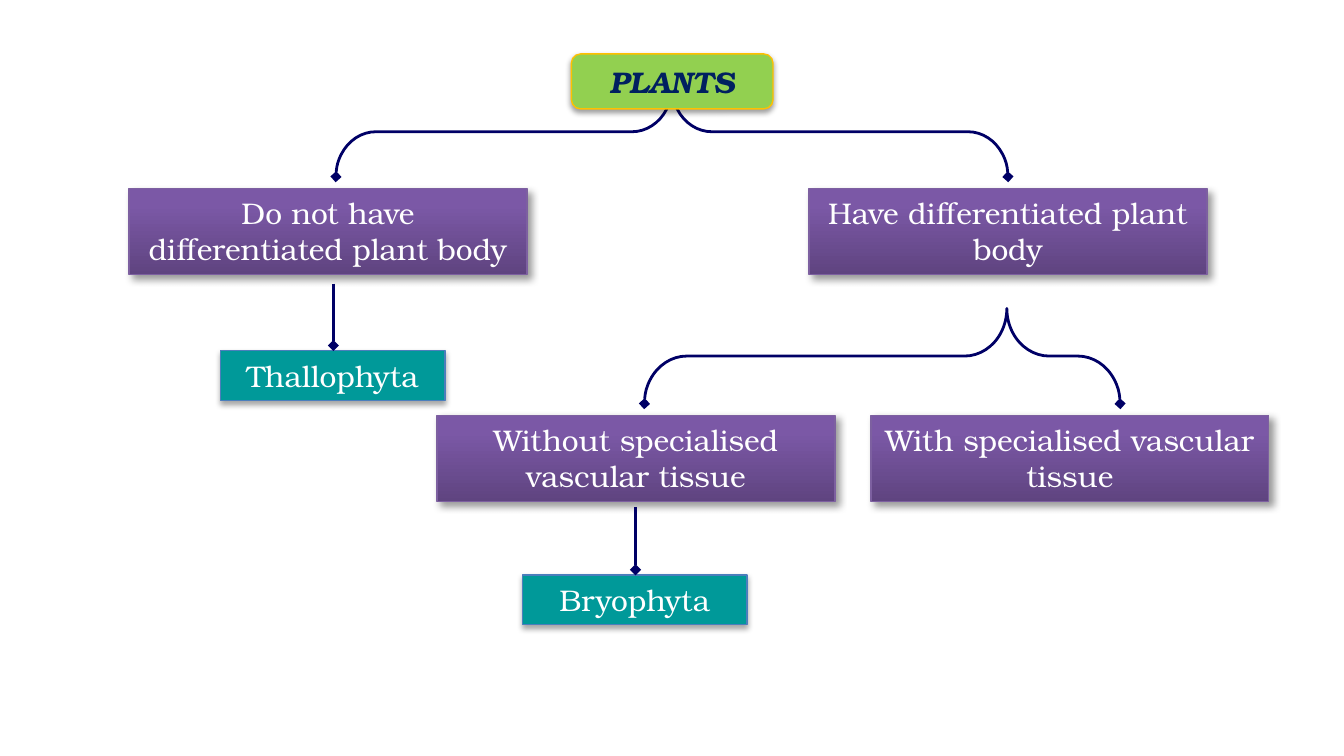
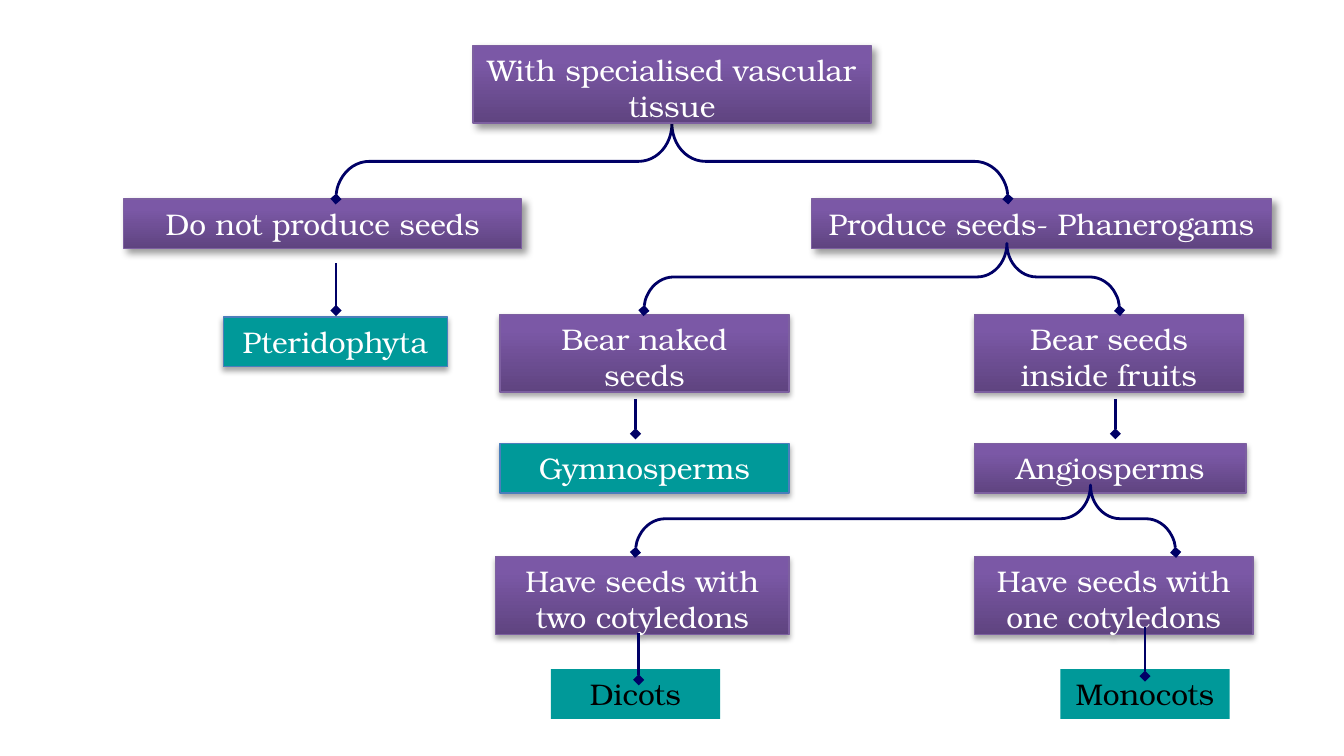
from copy import deepcopy

from lxml.etree import SubElement
from pptx import Presentation
from pptx.dml.color import RGBColor
from pptx.enum.shapes import MSO_CONNECTOR as Link, MSO_SHAPE as Form
from pptx.enum.text import MSO_ANCHOR as Anchor, MSO_AUTO_SIZE as Fit, PP_ALIGN as Align
from pptx.oxml.ns import qn
from pptx.util import Cm, Pt

FONT = "TeX Gyre Bonum"
WHITE = RGBColor(0xFF, 0xFF, 0xFF)
BLACK = RGBColor(0, 0, 0)
NAVY = RGBColor(0, 0, 0x66)
INK = RGBColor(0, 0x20, 0x60)
GREEN = RGBColor(0x92, 0xD0, 0x50)
GOLD = RGBColor(0xFF, 0xC0, 0)
TEAL = RGBColor(0, 0x99, 0x99)
BLUE = RGBColor(0x4B, 0x7E, 0xBC)
LILAC = RGBColor(0x7D, 0x60, 0xA0)
PURPLE = [
    (0, RGBColor(0x5F, 0x44, 0x80)),
    (0.8, RGBColor(0x7B, 0x58, 0xA6)),
    (1, RGBColor(0x7C, 0x57, 0xA8)),
]

SIDE_SHADOW = (40, 4, 3, 45)
DROP_SHADOW = (35, 3.1, 1.8, 90)
ROOT_SHADOW = (38, 3.1, 1.6, 90)
WHITE_TEXT = {"name": FONT, "size": Pt(16), "color": WHITE}

STYLES = {
    "root": {"form": Form.ROUNDED_RECTANGLE, "fill": GREEN, "line": GOLD, "shadow": ROOT_SHADOW,
             "text": {**WHITE_TEXT, "color": INK, "bold": True, "italic": True}},
    "trait": {"fill": PURPLE, "line": LILAC, "shadow": SIDE_SHADOW, "text": WHITE_TEXT},
    "low trait": {"fill": PURPLE, "line": LILAC, "shadow": DROP_SHADOW, "text": WHITE_TEXT},
    "group": {"fill": TEAL, "line": BLUE, "shadow": DROP_SHADOW, "text": WHITE_TEXT},
    "leaf": {"fill": TEAL, "text": {**WHITE_TEXT, "color": BLACK}},
}

WIDE, MEDIUM, NARROW = 7.52, 4.24, 3.2
ONE_LINE, TWO_LINES, TALL = 0.94, 1.47, 1.63

CHARTS = [
    {
        "boxes": [
            ("trait", "Do not have differentiated plant body", 2.44, 3.56, WIDE, TALL),
            ("trait", "Have differentiated plant body", 15.29, 3.56, WIDE, TALL),
            ("group", "Thallophyta", 4.17, 6.63, MEDIUM, ONE_LINE),
            ("trait", "Without specialised vascular tissue", 8.26, 7.85, WIDE, TALL),
            ("trait", "With specialised vascular tissue", 16.46, 7.85, WIDE, TALL),
            ("group", "Bryophyta", 9.88, 10.87, MEDIUM, ONE_LINE),
        ],
        "top": ("root", "PLANTS", 10.8, 1.02, 3.81, 1.04),
        "braces": [(6.35, 19.05, 12.7, 1.64, 1.7), (12.18, 21.17, 19.03, 5.83, 1.8)],
        "arrows": [(6.3, 5.36, 6.53), (12.01, 9.58, 10.77)],
    },
    {
        "boxes": [
            ("trait", "Do not produce seeds", 2.34, 3.76, WIDE, ONE_LINE),
            ("trait", "Produce seeds- Phanerogams", 15.34, 3.76, 8.69, ONE_LINE),
            ("group", "Pteridophyta", 4.22, 5.99, MEDIUM, ONE_LINE),
            ("low trait", "Bear naked\nseeds", 9.45, 5.94, 5.46, TWO_LINES),
            ("low trait", "Bear seeds\ninside fruits", 18.42, 5.94, 5.08, TWO_LINES),
            ("group", "Gymnosperms", 9.45, 8.38, 5.46, ONE_LINE),
            ("low trait", "Angiosperms", 18.42, 8.38, 5.13, ONE_LINE),
            ("low trait", "Have seeds with two cotyledons", 9.37, 10.52, 5.54, TWO_LINES),
            ("low trait", "Have seeds with one cotyledons", 18.42, 10.52, 5.26, TWO_LINES),
            ("leaf", "Dicots", 10.41, 12.65, NARROW, ONE_LINE),
            ("leaf", "Monocots", 20.04, 12.65, NARROW, ONE_LINE),
        ],
        "top": ("trait", "With specialised vascular tissue", 8.94, 0.86, WIDE, TWO_LINES),
        "braces": [
            (6.35, 19.05, 12.7, 2.34, 1.42),
            (12.17, 21.16, 19.03, 4.6, 1.27),
            (12.01, 22.22, 20.61, 9.17, 1.27),
        ],
        "arrows": [
            (6.35, 4.98, 5.87), (12.01, 7.54, 8.2), (21.08, 7.54, 8.2),
            (21.64, 11.86, 12.78), (12.07, 11.96, 12.85),
        ],
    },
]


def paint(box, fill):
    if isinstance(fill, RGBColor):
        box.fill.solid()
        box.fill.fore_color.rgb = fill
        return
    box.fill.gradient()
    box.fill.gradient_angle = 90
    stops = box.element.spPr.find(".//" + qn("a:gsLst"))
    stops.insert(1, deepcopy(stops[0]))
    for stop, (position, color) in zip(box.fill.gradient_stops, fill):
        stop.position = position
        stop.color.rgb = color


def cast_shadow(box, opacity, blur, distance, angle):
    effects = box.element.spPr.find(qn("a:effectLst"))
    shadow = SubElement(effects, qn("a:outerShdw"), blurRad=str(Pt(blur)), dist=str(Pt(distance)),
                        dir=str(angle * 60000), rotWithShape="0")
    color = SubElement(shadow, qn("a:srgbClr"), val="000000")
    SubElement(color, qn("a:alpha"), val=str(opacity * 1000))


def write(box, text, look):
    frame = box.text_frame
    frame.word_wrap = True
    frame.vertical_anchor = Anchor.TOP
    frame.auto_size = Fit.SHAPE_TO_FIT_TEXT
    frame.text = text
    for para in frame.paragraphs:
        para.alignment = Align.CENTER
        for span in para.runs:
            for key, value in look.items():
                if key == "color":
                    span.font.color.rgb = value
                else:
                    setattr(span.font, key, value)


def add_box(page, kind, text, left, top, width, height):
    style = STYLES[kind]
    form = style.get("form", Form.RECTANGLE)
    box = page.shapes.add_shape(form, Cm(left), Cm(top), Cm(width), Cm(height))
    paint(box, style["fill"])
    box.shadow.inherit = False
    if "line" in style:
        box.line.color.rgb = style["line"]
        box.line.width = Pt(0.75)
        cast_shadow(box, *style["shadow"])
    else:
        box.line.fill.background()
    write(box, text, style["text"])


def draw_line(shape, ends):
    shape.line.color.rgb = NAVY
    shape.line.width = Pt(1.5)
    outline = shape.element.spPr.find(qn("a:ln"))
    for end in ends:
        SubElement(outline, qn(end), type="diamond")


def add_brace(page, left, right, peak, top, height):
    span = right - left
    center_x, center_y = (left + right) / 2, top + height / 2
    brace = page.shapes.add_shape(Form.RIGHT_BRACE, Cm(center_x - height / 2), Cm(center_y - span / 2),
                                  Cm(height), Cm(span))
    brace.rotation = 270
    brace.adjustments[0] = 0.444
    brace.adjustments[1] = (peak - left) / span
    brace.fill.background()
    brace.shadow.inherit = False
    draw_line(brace, ("a:headEnd", "a:tailEnd"))


def add_arrow(page, x, top, bottom):
    arrow = page.shapes.add_connector(Link.STRAIGHT, Cm(x), Cm(top), Cm(x), Cm(bottom))
    draw_line(arrow, ("a:tailEnd",))
    SubElement(arrow.element.spPr, qn("a:effectLst"))


def main():
    deck = Presentation()
    deck.slide_width, deck.slide_height = Cm(25.4), Cm(14.29)
    for chart in CHARTS:
        page = deck.slides.add_slide(deck.slide_layouts[6])
        for box in chart["boxes"]:
            add_box(page, *box)
        for brace in chart["braces"]:
            add_brace(page, *brace)
        add_box(page, *chart["top"])
        for arrow in chart["arrows"]:
            add_arrow(page, *arrow)
    deck.save("out.pptx")


if __name__ == "__main__":
    main()
